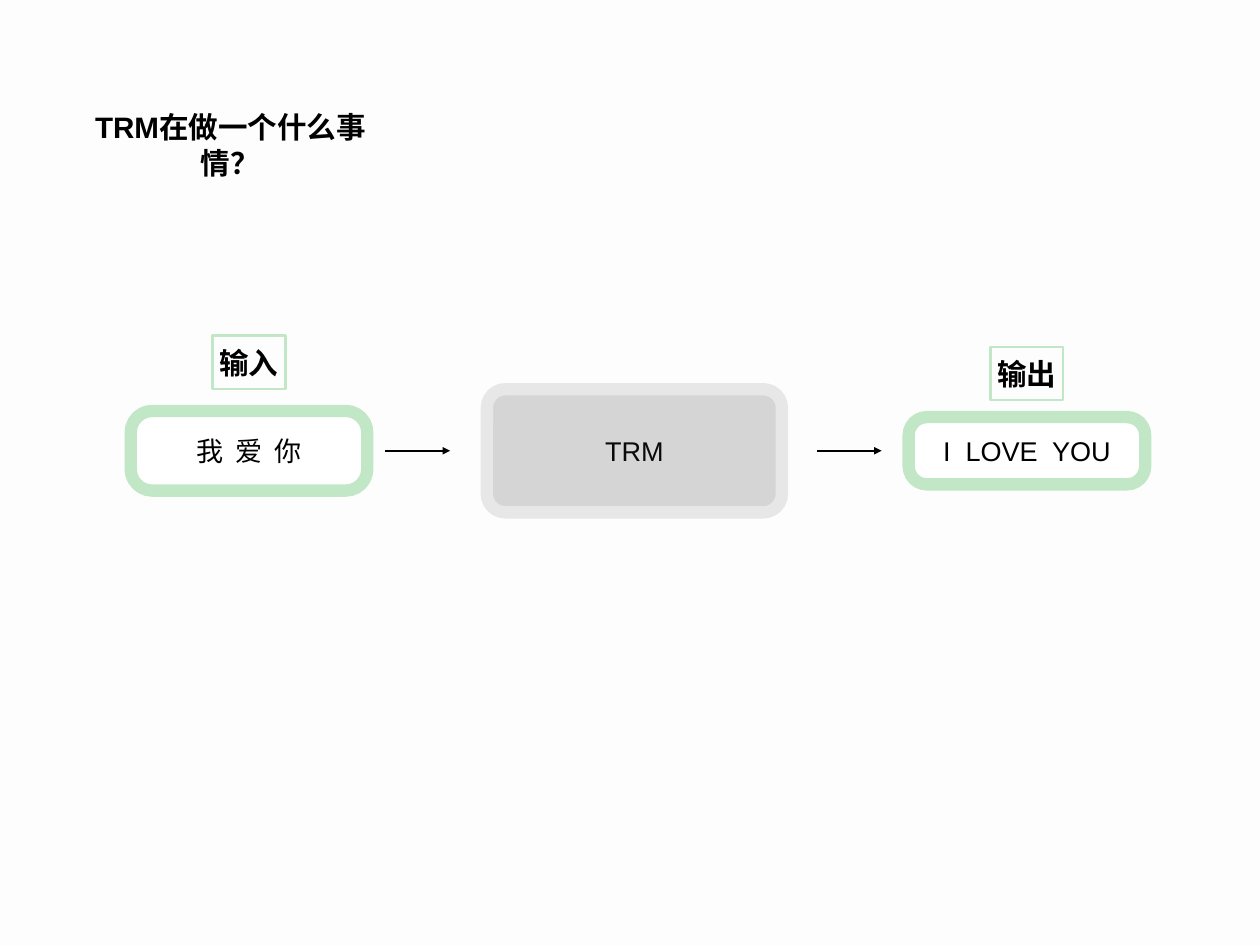
from dataclasses import dataclass

from pptx import Presentation
from pptx.dml.color import RGBColor as Rgb
from pptx.enum.shapes import MSO_CONNECTOR as Link, MSO_SHAPE as Shape
from pptx.enum.text import MSO_ANCHOR as Anchor, MSO_AUTO_SIZE as Fit, PP_ALIGN as Align
from pptx.oxml.xmlchemy import OxmlElement as Node
from pptx.util import Inches, Pt


@dataclass(frozen=True)
class Theme:
    back: str = "FDFDFD"
    ink: str = "000000"
    soft: str = "0A0A0A"
    white: str = "FFFFFF"
    green: str = "C2E7C7"
    gray: str = "D6D5D5"
    pale: str = "E7E7E7"
    font: str = "Arial"
    body: int = 22
    head: int = 24
    thick: int = 10
    thin: int = 2


THEME = Theme()
AXIS = 5.09
PAD = Inches(0.06)
FRAME = {
    "margin_left": PAD,
    "margin_right": PAD,
    "margin_top": PAD,
    "margin_bottom": PAD,
    "vertical_anchor": Anchor.MIDDLE,
    "auto_size": Fit.NONE,
}
BODY = {"name": THEME.font, "size": Pt(THEME.body), "bold": False}
HEAD = {"name": THEME.font, "size": Pt(THEME.head), "bold": True}


def apply(item, values):
    for name, value in values.items():
        setattr(item, name, value)


def write(shape, text, font, color=THEME.ink, wrap=True):
    frame = shape.text_frame
    apply(frame, {**FRAME, "word_wrap": wrap})
    frame.text = text
    para = frame.paragraphs[0]
    para.alignment = Align.CENTER
    apply(para.font, font)
    para.font.color.rgb = Rgb.from_string(color)


def stroke(line, color, width):
    line.color.rgb = Rgb.from_string(color)
    line.width = Pt(width)


def add_block(slide, kind, mid, axis, width, height, edge, weight, fill=None):
    block = slide.shapes.add_shape(
        kind, Inches(mid - width / 2), Inches(axis - height / 2),
        Inches(width), Inches(height))
    block.shadow.inherit = False
    stroke(block.line, edge, weight)
    if fill:
        block.fill.solid()
        block.fill.fore_color.rgb = Rgb.from_string(fill)
    else:
        block.fill.background()
    return block


def add_model(slide):
    model = add_block(slide, Shape.ROUNDED_RECTANGLE, 7.16, AXIS, 3.33, 1.39,
                      THEME.pale, THEME.thick, THEME.gray)
    model.adjustments[0] = 0.15
    write(model, "TRM", BODY, THEME.soft)


def add_phrase(slide, text, mid, height):
    box = add_block(slide, Shape.ROUNDED_RECTANGLE, mid, AXIS, 2.67, height,
                    THEME.green, THEME.thick, THEME.white)
    box.adjustments[0] = 0.27
    write(box, text, BODY)


def add_label(slide, text, mid, axis):
    label = add_block(slide, Shape.RECTANGLE, mid, axis, 0.82, 0.6,
                      THEME.green, THEME.thin)
    write(label, text, HEAD, wrap=False)


def add_arrow(slide, start):
    arrow = slide.shapes.add_connector(
        Link.STRAIGHT, Inches(start), Inches(AXIS),
        Inches(start + 0.73), Inches(AXIS))
    stroke(arrow.line, THEME.ink, THEME.thin)
    tail = Node("a:tailEnd")
    tail.set("type", "triangle")
    arrow.line._get_or_add_ln().append(tail)
    arrow._element.spPr.append(Node("a:effectLst"))


def add_title(slide, text):
    title = slide.shapes.title
    apply(title, {"left": Inches(0.97), "top": Inches(1.35),
                  "width": Inches(3.26), "height": Inches(0.57)})
    write(title, text, HEAD)


def main():
    deck = Presentation()
    apply(deck, {"slide_width": Inches(14.22), "slide_height": Inches(10.67)})
    slide = deck.slides.add_slide(deck.slide_layouts[5])
    back = slide.background.fill
    back.solid()
    back.fore_color.rgb = Rgb.from_string(THEME.back)

    add_title(slide, "TRM在做一个什么事情？")
    add_model(slide)
    sides = [
        ("输入", "我  爱  你", 2.81, 4.09, 0.9, 4.35),
        ("输出", "I  LOVE  YOU", 11.59, 4.22, 0.76, 9.22),
    ]
    for label, phrase, mid, axis, height, start in sides:
        add_phrase(slide, phrase, mid, height)
        add_arrow(slide, start)
        add_label(slide, label, mid, axis)
    deck.save("out.pptx")


if __name__ == "__main__":
    main()
